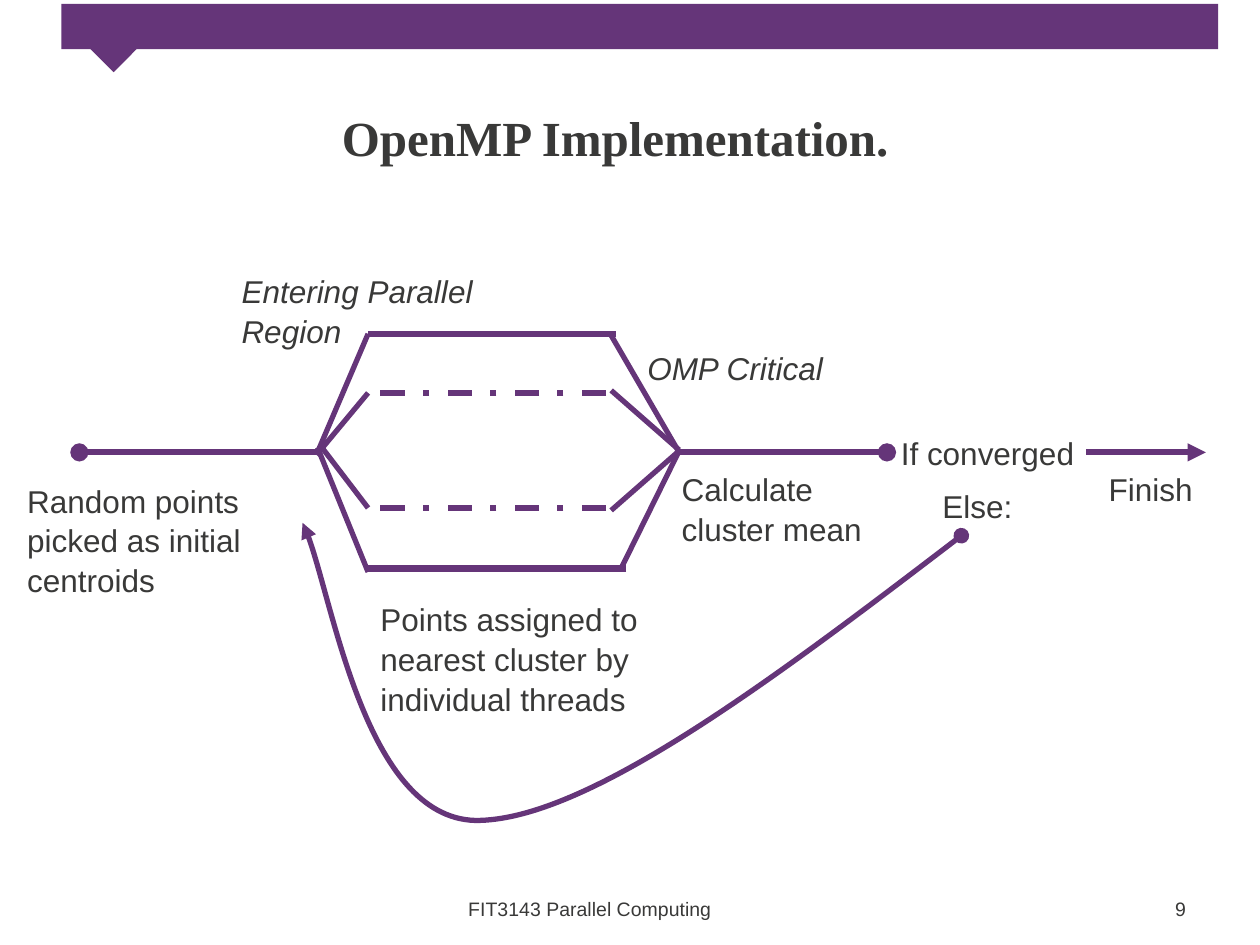
from dataclasses import dataclass

from lxml import etree
from pptx import Presentation
from pptx import util as u
from pptx.dml.color import RGBColor
from pptx.enum import dml, shapes, text
from pptx.oxml import ns


@dataclass(frozen=True)
class Theme:
    purple: RGBColor = RGBColor(0x65, 0x35, 0x79)
    ink: RGBColor = RGBColor(0x39, 0x39, 0x38)
    title_font: str = "Times New Roman"
    body_font: str = "Arial"
    title_size: float = 28
    label_size: float = 18
    footer_size: float = 11.1
    thick: float = 3.5
    thin: float = 3
    line_spacing: float = 1.05


THEME = Theme()
AXIS_Y = 9.12
FORK_X = 6.4
LANE_X = 7.42


@dataclass(frozen=True)
class Lane:
    """One thread: where it forks, runs and joins, in centimetres."""
    fork_start: tuple
    fork_end_y: float
    y: float
    end_x: float
    join_start: tuple
    join_y: float
    dashed: bool = False


LANES = (
    Lane((FORK_X, 9.12), 6.73, 6.73, 12.42, (12.29, 6.71), 9.12),
    Lane((6.38, 9.17), 7.92, 7.92, 12.22, (12.32, 7.87), 9.07, True),
    Lane((6.45, 8.97), 10.24, 10.24, 12.22, (12.32, 10.29), 9.09, True),
    Lane((FORK_X, 9.02), 11.53, 11.46, 12.62, (12.52, 11.46), 9.09),
)
JOIN_X = 13.69

# Wording, left, top, width, height, italic
LABELS = (
    ("Random points picked as initial centroids", 0.3, 9.55, 6.6, 2.57, False),
    ("Entering Parallel Region", 4.62, 5.33, 6.6, 1.8, True),
    ("Points assigned to nearest cluster by individual threads",
     7.42, 11.94, 6.6, 2.57, False),
    ("OMP Critical", 12.8, 6.88, 6.6, 1.02, True),
    ("Calculate cluster mean", 13.49, 9.32, 4.39, 1.8, False),
    ("If converged", 17.91, 8.59, 4.39, 1.02, False),
    ("Finish", 22.1, 9.32, 4.39, 1.02, False),
    ("Else:", 18.75, 9.65, 4.39, 1.02, False),
)

# Start point, then three points for each Bezier segment
LOOP_POINTS = ((19.38, 10.8),
               (15.6, 13.69), (11.79, 16.56), (9.58, 16.54),
               (7.37, 16.48), (6.63, 11.58), (6.1, 10.54))


def cm(*values):
    return [u.Cm(value) for value in values]


def add_run(paragraph, wording, font, size, bold=False, italic=False):
    run = paragraph.add_run()
    run.text = wording
    run.font.name = font
    run.font.size = u.Pt(size)
    run.font.bold = bold
    run.font.italic = italic
    run.font.color.rgb = THEME.ink


def add_label(slide, wording, box, size=THEME.label_size, italic=False, wrap=True):
    frame = slide.shapes.add_textbox(*cm(*box)).text_frame
    frame.word_wrap = wrap
    paragraph = frame.paragraphs[0]
    paragraph.line_spacing = THEME.line_spacing
    add_run(paragraph, wording, THEME.body_font, size, italic=italic)


def add_block(slide, box, rotation=0):
    block = slide.shapes.add_shape(shapes.MSO_SHAPE.RECTANGLE, *cm(*box))
    block.shadow.inherit = False
    block.fill.solid()
    block.fill.fore_color.rgb = THEME.purple
    block.line.fill.background()
    block.rotation = rotation


def style_line(shape, width, dashed=False, head=None, tail=None):
    shape.line.color.rgb = THEME.purple
    shape.line.width = u.Pt(width)
    if dashed:
        shape.line.dash_style = dml.MSO_LINE.DASH_DOT
    outline = shape._element.spPr.find(ns.qn("a:ln"))
    for tag, end in (("a:headEnd", head), ("a:tailEnd", tail)):
        if end:
            etree.SubElement(outline, ns.qn(tag), type=end)


def add_line(slide, start, end, width=THEME.thin, **style):
    connector = slide.shapes.add_connector(
        shapes.MSO_CONNECTOR.STRAIGHT, *cm(*start, *end))
    style_line(connector, width, **style)
    etree.SubElement(connector._element.spPr, ns.qn("a:effectLst"))


def add_curve(slide, points, **style):
    start, *rest = [cm(*point) for point in points]
    builder = slide.shapes.build_freeform(*start)
    builder.add_line_segments(rest, close=False)
    curve = builder.convert_to_shape()
    curve.shadow.inherit = False
    curve.fill.background()
    style_line(curve, THEME.thin, **style)

    # Merge each three line segments into one Bezier segment
    segments = list(curve._element.iter(ns.qn("a:lnTo")))
    for first in range(0, len(segments), 3):
        group = segments[first:first + 3]
        bezier = etree.Element(ns.qn("a:cubicBezTo"))
        group[0].addprevious(bezier)
        for segment in group:
            bezier.append(segment[0])
            segment.getparent().remove(segment)


def add_title(slide, wording):
    title = slide.shapes.title
    title.left, title.top, title.width, title.height = cm(4.5, 1.42, 15.8, 2.69)
    frame = title.text_frame
    frame.vertical_anchor = text.MSO_ANCHOR.MIDDLE
    paragraph = frame.paragraphs[0]
    paragraph.alignment = text.PP_ALIGN.CENTER
    add_run(paragraph, wording, THEME.title_font, THEME.title_size, bold=True)


def add_frame(slide):
    add_label(slide, "9", (23.44, 17.93, 0.99, 0.74), THEME.footer_size, wrap=False)
    add_label(slide, "FIT3143 Parallel Computing", (9.19, 17.93, 5.44, 0.74),
              THEME.footer_size, wrap=False)
    add_block(slide, (1.24, 0.08, 23.32, 0.91))
    add_block(slide, (1.96, 0.3, 0.81, 1.02), rotation=45)


def add_flow(slide):
    # Serial parts before and after the parallel region
    add_line(slide, (FORK_X, AXIS_Y), (1.6, AXIS_Y), THEME.thick, tail="oval")
    add_line(slide, (17.88, AXIS_Y), (13.61, AXIS_Y), THEME.thick, head="oval")
    add_line(slide, (24.31, AXIS_Y), (21.89, AXIS_Y), THEME.thick, head="triangle")

    # Parallel threads
    for lane in LANES:
        add_line(slide, lane.fork_start, (LANE_X, lane.fork_end_y))
        add_line(slide, (lane.end_x, lane.y), (LANE_X, lane.y),
                 THEME.thick, dashed=lane.dashed)
        add_line(slide, lane.join_start, (JOIN_X, lane.join_y))

    # Loop back when not converged
    add_curve(slide, LOOP_POINTS, head="oval", tail="triangle")


def main():
    presentation = Presentation()
    presentation.slide_width, presentation.slide_height = cm(25.4, 19.05)
    slide = presentation.slides.add_slide(presentation.slide_layouts[5])

    add_frame(slide)
    add_title(slide, "OpenMP Implementation.")
    add_flow(slide)
    for wording, *box, italic in LABELS:
        add_label(slide, wording, box, italic=italic)

    presentation.save("out.pptx")


if __name__ == "__main__":
    main()
